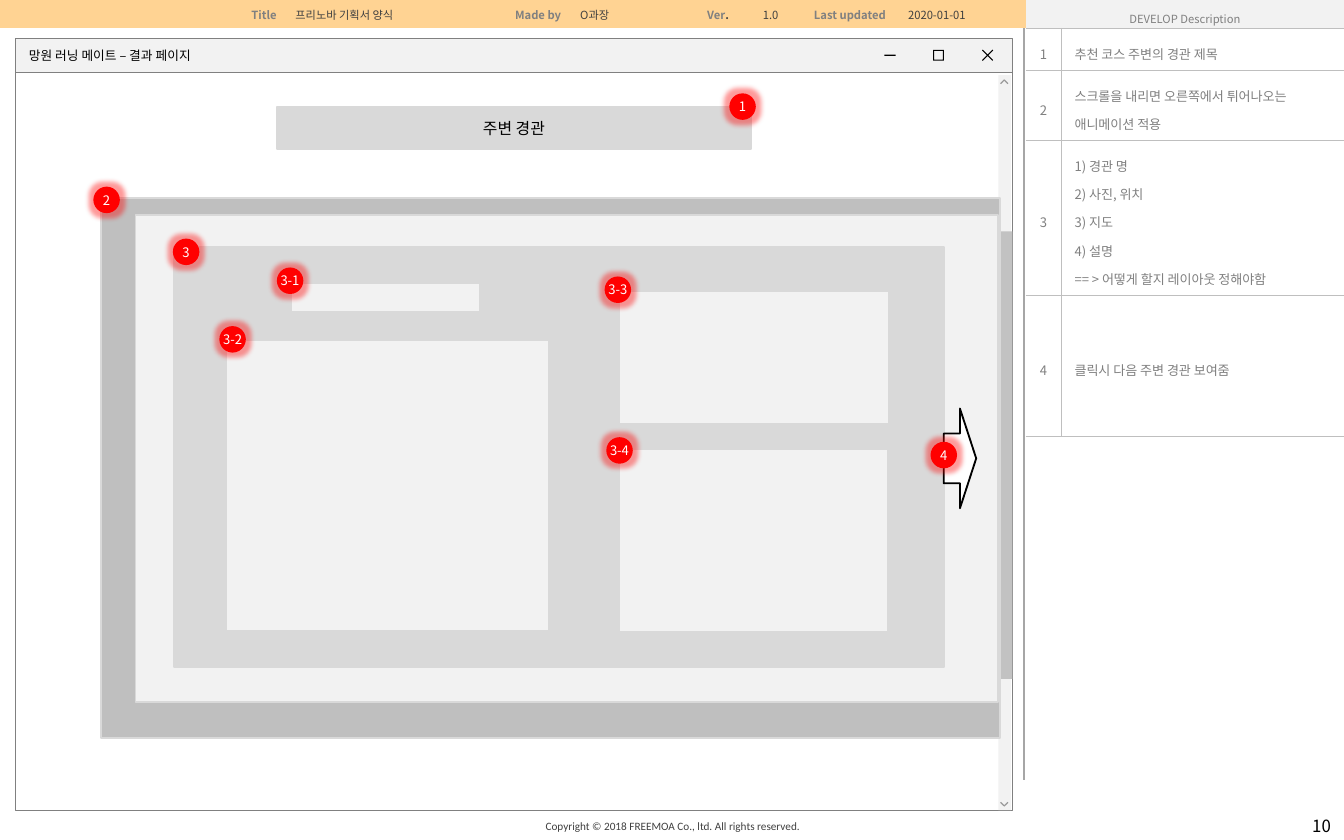
import pptx
import pptx.util
import pptx.dml.color
import pptx.enum.shapes
import pptx.enum.text
import pptx.oxml
import pptx.oxml.ns

Pt = pptx.util.Pt
SHAPE = pptx.enum.shapes.MSO_SHAPE
ALIGN = pptx.enum.text.PP_ALIGN
MIDDLE = pptx.enum.text.MSO_ANCHOR.MIDDLE
COLORS = {
    "orange": "FFD393", "pale": "F2F2F2", "light": "D9D9D9", "silver": "BFBFBF",
    "thumb": "C2C2C2", "rule": "A6A6A6", "chevron": "999999", "gray": "808080",
    "dark": "404040", "black": "000000", "white": "FFFFFF", "red": "FF0000",
}
KOREAN = "Noto Sans CJK KR"
PLAIN_TABLE = "{2D5ABB26-0587-4C30-8999-92F81FD0307C}"


class Wireframe:
    """Draws wireframe elements on one slide in a shared style."""

    def __init__(self, slide):
        self.slide = slide
        self.shapes = slide.shapes

    def color(self, name):
        return pptx.dml.color.RGBColor.from_string(COLORS[name])

    def element(self, xml):
        return pptx.oxml.parse_xml(xml.replace(" ", " " + pptx.oxml.ns.nsdecls("a") + " ", 1))

    def apply(self, target, values):
        for name, value in values.items():
            setattr(target, name, value)

    def paint(self, shape, fill=None, line=None, width=1):
        shape.shadow.inherit = False
        if fill:
            shape.fill.solid()
            shape.fill.fore_color.rgb = self.color(fill)
        else:
            shape.fill.background()
        if line:
            shape.line.color.rgb = self.color(line)
            shape.line.width = Pt(width)
        else:
            shape.line.fill.background()
        return shape

    def paragraphs(self, frame, lines, size, color, align=ALIGN.LEFT, font=KOREAN,
                   bold=False, spacing=None):
        for index, line in enumerate(lines):
            paragraph = frame.add_paragraph() if index else frame.paragraphs[0]
            self.apply(paragraph, {"alignment": align, "line_spacing": spacing})
            for text, run_color in ([(line, color)] if isinstance(line, str) else line):
                run = paragraph.add_run()
                run.text = text
                self.apply(run.font, {"size": Pt(size), "name": font, "bold": bold})
                run.font.color.rgb = self.color(run_color)
                run.font._element.append(self.element(f'<a:ea typeface="{KOREAN}"/>'))

    def box(self, place, fill=None, line=None, width=1, kind=SHAPE.RECTANGLE):
        return self.paint(self.shapes.add_shape(kind, *map(Pt, place)), fill, line, width)

    def label(self, shape, text, size, color, align=ALIGN.LEFT, wrap=True, margins=(7.2, 3.6),
              font=KOREAN):
        frame = shape.text_frame
        side, edge = map(Pt, margins)
        self.apply(frame, {"word_wrap": wrap, "vertical_anchor": MIDDLE, "margin_left": side,
                           "margin_right": side, "margin_top": edge, "margin_bottom": edge})
        self.paragraphs(frame, [text], size, color, align, font)

    def text(self, place, *content, **style):
        self.label(self.shapes.add_textbox(*map(Pt, place)), *content, **style)

    def line(self, start, end, color, width):
        connector = self.shapes.add_connector(
            pptx.enum.shapes.MSO_CONNECTOR.STRAIGHT, *map(Pt, start + end))
        connector.line.color.rgb = self.color(color)
        connector.line.width = Pt(width)
        connector._element.spPr.append(self.element("<a:effectLst />"))

    def outline(self, contours, color):
        scaled = [[(x * 100, y * 100) for x, y in contour] for contour in contours]
        builder = self.shapes.build_freeform(*scaled[0][0], scale=127)
        for index, contour in enumerate(scaled):
            if index:
                builder.move_to(*contour[0])
            builder.add_line_segments(contour[1:], close=True)
        self.paint(builder.convert_to_shape(), color)

    def badge(self, left, top, text):
        size = 14.2
        circle = self.box((left, top, size, size), "red", kind=SHAPE.OVAL)
        effects = circle._element.spPr.find(pptx.oxml.ns.qn("a:effectLst"))
        effects.append(self.element(
            f'<a:glow rad="{Pt(5)}"><a:srgbClr val="{COLORS["red"]}">'
            '<a:alpha val="40000"/></a:srgbClr></a:glow>'))
        self.text((left - 8.4, top - 0.8, size + 16.8, size + 1.6), text, 7, "white",
                  align=ALIGN.CENTER, margins=(0, 0))

    def table(self, place, columns, rows):
        frame = self.shapes.add_table(len(rows), len(columns), *map(Pt, place))
        table = frame.table
        self.apply(table, {"first_row": False, "horz_banding": False})
        table._tbl.tblPr.find(pptx.oxml.ns.qn("a:tableStyleId")).text = PLAIN_TABLE
        for column, width in zip(table.columns, columns):
            column.width = Pt(width)
        for row, height in zip(table.rows, rows):
            row.height = Pt(height)
        return table

    def cell(self, cell, lines, size, color, margins=(7.2, 3.6), fill=None, edges="", **style):
        side, edge = map(Pt, margins)
        self.apply(cell, {"vertical_anchor": MIDDLE, "margin_left": side, "margin_right": side,
                          "margin_top": edge, "margin_bottom": edge})
        properties = cell._tc.get_or_add_tcPr()
        for name in edges:
            properties.append(self.element(
                f'<a:ln{name} w="{Pt(0.25)}"><a:solidFill><a:srgbClr val="{COLORS["silver"]}"/>'
                f'</a:solidFill></a:ln{name}>'))
        if fill:
            cell.fill.solid()
            cell.fill.fore_color.rgb = self.color(fill)
        else:
            cell.fill.background()
        if lines:
            self.paragraphs(cell.text_frame, lines, size, color, **style)
        else:
            cell.text_frame.paragraphs[0]._p.append(
                self.element(f'<a:endParaRPr sz="{size * 100}"/>'))


def draw_header(wireframe):
    widths = [127.4, 28.1, 113, 39.6, 62.6, 28.1, 28.1, 56.9, 64.1, 172.2]
    entries = ["", "Title", "프리노바 기획서 양식", "Made by", "O과장",
               [("Ver", "gray"), (".", "dark")], "1.0", "Last updated", "2020-01-01", ""]
    table = wireframe.table((0, 0, 720, 422.6), widths, [15.1, 407.5])
    for index, entry in enumerate(entries):
        heading = index % 2 == 1
        centered = heading or index == 6
        wireframe.cell(table.cell(0, index), [entry] if entry else [], 6,
                       "gray" if heading else "dark", margins=(2.8, 2.8), fill="orange",
                       bold=heading, align=ALIGN.CENTER if centered else ALIGN.LEFT)
    table.cell(1, 0).merge(table.cell(1, len(widths) - 1))
    wireframe.text((480, 433.4, 240, 18), "10", 9, "black", align=ALIGN.RIGHT)
    wireframe.text((144, 433.4, 432.7, 18),
                   "Copyright © 2018 FREEMOA Co., ltd. All rights reserved.", 6, "dark",
                   align=ALIGN.CENTER, font="Calibri")
    wireframe.line((548.6, 15.1), (548.6, 417.6), "rule", 0.75)


def draw_descriptions(wireframe):
    descriptions = [
        ["추천 코스 주변의 경관 제목"],
        ["스크롤을 내리면 오른쪽에서 튀어나오는 애니메이션 적용"],
        ["1) 경관 명", "2) 사진, 위치", "3) 지도", "4) 설명", "== > 어떻게 할지 레이아웃 정해야함"],
        ["클릭시 다음 주변 경관 보여줌"],
    ]
    heights = [15.1, 22.5, 37.5, 83, 75.5]
    table = wireframe.table((549.5, 0, 170.5, sum(heights)), [19, 151.5], heights)
    table.cell(0, 0).merge(table.cell(0, 1))
    wireframe.cell(table.cell(0, 0), ["DEVELOP Description"], 6, "gray", margins=(7.2, 0),
                   fill="pale", edges="B", align=ALIGN.CENTER, spacing=1.5)
    for number, lines in enumerate(descriptions, 1):
        wireframe.cell(table.cell(number, 0), [str(number)], 7, "gray", edges="TB",
                       align=ALIGN.CENTER, spacing=1.5)
        wireframe.cell(table.cell(number, 1), lines, 7, "gray", edges="LTB", spacing=1.5)


def draw_window(wireframe):
    title = wireframe.box((8.4, 20.7, 534.2, 18), "pale")
    wireframe.label(title, "망원 러닝 메이트 – 결과 페이지", 6.8, "black", margins=(7.2, 4))
    wireframe.box((473.8, 29.3, 6, 0.6), "black")
    squares = [(499.9, 505.7, 26.7, 32.5), (500.5, 505.1, 27.3, 31.9)]
    wireframe.outline([[(left, top), (left, bottom), (right, bottom), (right, top)]
                       for left, right, top, bottom in squares], "black")
    x, y, arm, nick = 529.1, 29.6, 3, 0.4
    wireframe.outline([[
        (x - arm + nick, y - arm), (x - arm, y - arm + nick), (x - nick, y),
        (x - arm, y + arm - nick), (x - arm + nick, y + arm), (x, y + nick),
        (x + arm - nick, y + arm), (x + arm, y + arm - nick), (x + nick, y),
        (x + arm, y - arm + nick), (x + arm - nick, y - arm), (x, y - nick)]], "black")
    wireframe.box((8.4, 20.7, 534.2, 413.5), line="gray", width=0.5)
    wireframe.line((542.6, 38.8), (8.4, 38.8), "gray", 0.75)
    wireframe.box((534.8, 40.3, 6.8, 393.8), "pale")
    wireframe.box((536.1, 124, 6.3, 239.8), "thumb")
    for tip, down in ((42.5, 1), (432.2, -1)):
        wireframe.outline([[(535.8, tip + 2.1 * down), (538, tip), (540.2, tip + 2.1 * down),
                            (539.8, tip + 2.6 * down), (538, tip + 0.8 * down),
                            (536.2, tip + 2.6 * down)]], "chevron")


def draw_content(wireframe):
    panels = [
        ((54, 106.1, 481.7, 289.2), "silver"), ((72.6, 115.3, 462.2, 260.6), "pale"),
        ((93.3, 132.4, 412.5, 225.1), "light"), ((156, 151.9, 100.9, 15.1), "pale"),
        ((121.3, 182.4, 172.6, 155.5), "pale"), ((331.8, 156.1, 144.3, 71), "pale"),
        ((331.8, 240.8, 143.7, 98), "pale"),
    ]
    for place, fill in panels:
        wireframe.box(place, fill, "light")
    wireframe.box((505.6, 218.9, 17.4, 53.4), "white", "black", kind=SHAPE.RIGHT_ARROW)
    heading = wireframe.box((148.2, 57.2, 254.3, 22.7), "light", "light")
    wireframe.label(heading, "주변 경관", 8.5, "black", align=ALIGN.CENTER, wrap=False,
                    font="Lato")
    badges = [(390.7, 50, "1"), (50, 100, "2"), (92.6, 127.8, "3"), (498.5, 236.7, "4"),
              (148.3, 143.3, "3-1"), (117.5, 174.7, "3-2"), (323.9, 148.1, "3-3"),
              (324.8, 234.2, "3-4")]
    for badge in badges:
        wireframe.badge(*badge)


def main():
    presentation = pptx.Presentation()
    presentation.slide_width, presentation.slide_height = Pt(720), Pt(450)
    wireframe = Wireframe(presentation.slides.add_slide(presentation.slide_layouts[6]))
    for draw in (draw_header, draw_descriptions, draw_window, draw_content):
        draw(wireframe)
    presentation.save("out.pptx")


if __name__ == "__main__":
    main()
